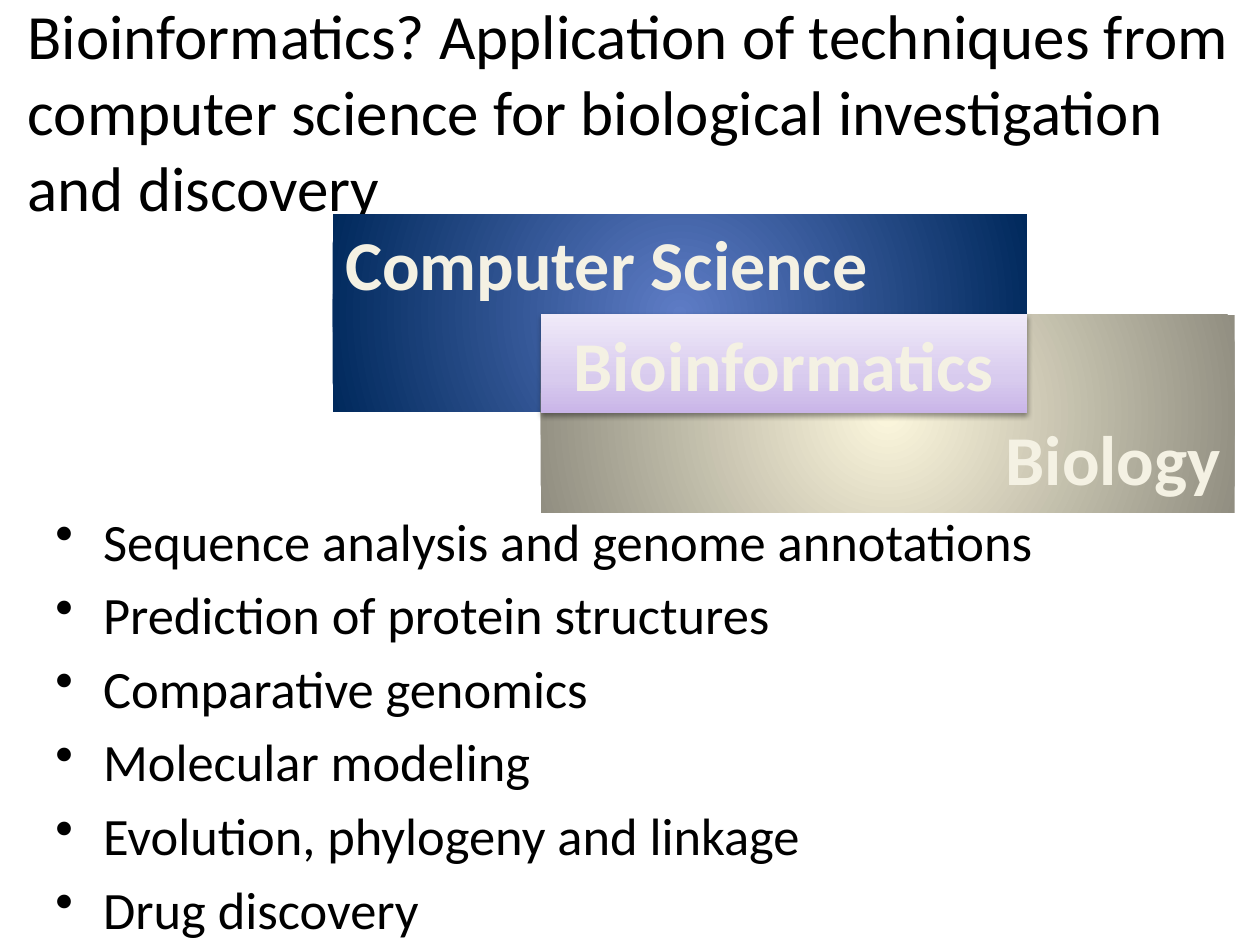
from lxml.etree import SubElement
from pptx import Presentation
from pptx.dml.color import RGBColor
from pptx.enum.shapes import MSO_SHAPE as Shape
from pptx.enum.text import MSO_ANCHOR as Anchor, MSO_AUTO_SIZE as AutoSize, PP_ALIGN as Align
from pptx.oxml import parse_xml
from pptx.oxml.ns import nsdecls, qn
from pptx.util import Inches, Pt

FONT = "Calibri"
COLORS = {
    "text": "000000", "label": "F4F1E3", "shadow": "000000",
    "science_center": "5E7CC5", "science_edge": "00295C", "science_outline": "054697",
    "biology_center": "FCF7DD", "biology_edge": "918E81", "biology_outline": "4A452A",
    "overlap_bottom": "C9B5E8", "overlap_middle": "D8CBEE", "overlap_top": "F0EAF9",
    "overlap_outline": "604A7B",
}
TITLE = ("Bioinformatics? Application of techniques from computer science "
         "for biological investigation and discovery")
TOPICS = [
    "Sequence analysis and genome annotations",
    "Prediction of protein structures",
    "Comparative genomics",
    "Molecular modeling",
    "Evolution, phylogeny and linkage",
    "Drug discovery",
]
RADIAL = '<a:path path="circle"><a:fillToRect l="50000" t="50000" r="50000" b="50000"/></a:path>'
UPWARD = '<a:lin ang="16200000" scaled="1"/>'


def place(shape, left, top, width, height):
    shape.left, shape.top = Inches(left), Inches(top)
    shape.width, shape.height = Inches(width), Inches(height)


def style(paragraph, size, color, bold=False, align=Align.LEFT):
    paragraph.alignment = align
    font = paragraph.font
    font.name, font.size, font.bold = FONT, Pt(size), bold
    font.color.rgb = RGBColor.from_string(COLORS[color])


def add_title(slide):
    title = slide.shapes.title
    place(title, 0.12, 0.05, 9.76, 1.65)
    frame = title.text_frame
    frame.text = TITLE
    frame.word_wrap = True
    frame.auto_size = AutoSize.NONE
    frame.vertical_anchor = Anchor.MIDDLE
    style(frame.paragraphs[0], 36, "text")


def add_bullets(slide):
    box = slide.shapes.add_textbox(Inches(0.34), Inches(3.99), Inches(9.22), Inches(3.48))
    frame = box.text_frame
    frame.word_wrap = True
    frame.text = "\n".join(TOPICS)
    for paragraph in frame.paragraphs:
        style(paragraph, 30, "text")
        paragraph.space_before = Pt(6)
        properties = paragraph._p.get_or_add_pPr()
        properties.set("marL", str(Inches(0.38)))
        properties.set("indent", str(Inches(-0.38)))
        bullet = parse_xml(f'<a:buChar {nsdecls("a")} char="•"/>')
        properties.find(qn("a:defRPr")).addprevious(bullet)


def add_block(group, left, top, width, height, stops, direction):
    block = group.shapes.add_shape(
        Shape.RECTANGLE, Inches(left), Inches(top), Inches(width), Inches(height))
    block.line.fill.background()
    block.shadow.inherit = False
    stop_xml = "".join(
        f'<a:gs pos="{position * 1000}"><a:srgbClr val="{COLORS[color]}"/></a:gs>'
        for position, color in stops)
    gradient = parse_xml(
        f'<a:gradFill {nsdecls("a")} rotWithShape="1">'
        f'<a:gsLst>{stop_xml}</a:gsLst>{direction}</a:gradFill>')
    block._element.spPr.find(qn("a:prstGeom")).addnext(gradient)
    return block


def add_shadow(shape):
    effects = shape._element.spPr.find(qn("a:effectLst"))
    shadow = SubElement(effects, qn("a:outerShdw"), blurRad=str(Pt(3.1)),
                        dist=str(Pt(1.6)), dir="5400000", rotWithShape="0")
    color = SubElement(shadow, qn("a:srgbClr"), val=COLORS["shadow"])
    SubElement(color, qn("a:alpha"), val="38000")


def set_label(shape, text, outline, align, anchor):
    frame = shape.text_frame
    frame.text = text
    frame.vertical_anchor = anchor
    paragraph = frame.paragraphs[0]
    style(paragraph, 40, "label", bold=True, align=align)
    line = parse_xml(
        f'<a:ln {nsdecls("a")} w="{Pt(1)}"><a:solidFill>'
        f'<a:srgbClr val="{COLORS[outline]}"/></a:solidFill></a:ln>')
    paragraph.runs[0]._r.get_or_add_rPr().insert(0, line)


def add_diagram(slide):
    group = slide.shapes.add_group_shape()
    science = add_block(group, 2.64, 1.7, 5.51, 1.57,
                        [(0, "science_center"), (100, "science_edge")], RADIAL)
    set_label(science, "Computer Science", "science_outline", Align.LEFT, Anchor.TOP)
    add_block(group, 4.29, 2.5, 5.51, 1.57,
              [(0, "biology_center"), (100, "biology_edge")], RADIAL)
    overlap = add_block(
        group, 4.29, 2.49, 3.86, 0.79,
        [(0, "overlap_bottom"), (35, "overlap_middle"), (100, "overlap_top")], UPWARD)
    add_shadow(overlap)
    set_label(overlap, "Bioinformatics", "overlap_outline", Align.CENTER, Anchor.MIDDLE)
    biology = group.shapes.add_textbox(Inches(7.87), Inches(3.25), Inches(1.93), Inches(0.77))
    biology.text_frame.word_wrap = False
    biology.text_frame.auto_size = AutoSize.SHAPE_TO_FIT_TEXT
    set_label(biology, "Biology", "biology_outline", Align.CENTER, Anchor.TOP)


def main():
    presentation = Presentation()
    presentation.slide_width = Inches(10)
    presentation.slide_height = Inches(7.5)
    slide = presentation.slides.add_slide(presentation.slide_layouts[5])
    add_title(slide)
    add_bullets(slide)
    add_diagram(slide)
    presentation.save("out.pptx")


if __name__ == "__main__":
    main()
